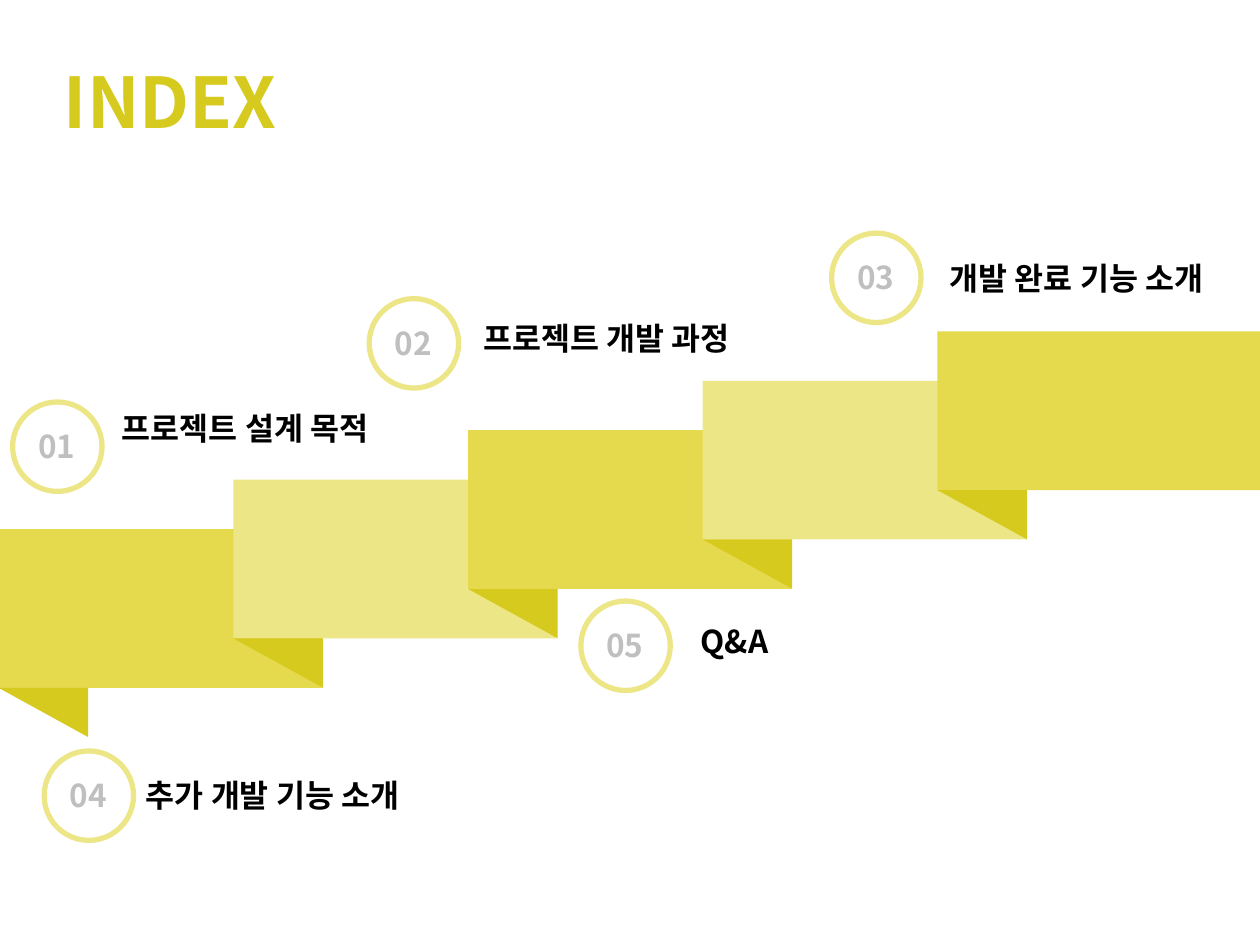
from pptx import Presentation
from pptx.dml.color import RGBColor
from pptx.enum.shapes import MSO_SHAPE
from pptx.enum.text import MSO_ANCHOR, PP_ALIGN
from pptx.oxml.ns import qn
from pptx.util import Inches, Pt
from lxml import etree

RECT, OVAL, FOLD = MSO_SHAPE.RECTANGLE, MSO_SHAPE.OVAL, MSO_SHAPE.RIGHT_TRIANGLE
LEFT, CENTER = PP_ALIGN.LEFT, PP_ALIGN.CENTER
MIDDLE = MSO_ANCHOR.MIDDLE

DARK = RGBColor(0xD7, 0xCA, 0x1F)
MID = RGBColor(0xE5, 0xDA, 0x4D)
PALE = RGBColor(0xED, 0xE6, 0x87)
GRAY = RGBColor(0xBF, 0xBF, 0xBF)
BLACK = RGBColor(0, 0, 0)
WHITE = RGBColor(0xFF, 0xFF, 0xFF)
NOTO = "Noto Sans CJK KR"

deck = Presentation()
deck.slide_width, deck.slide_height = Inches(10), Inches(7.5)
slide = deck.slides.add_slide(deck.slide_layouts[6])


def add_text(text, x, y, w, h, size=18, font=NOTO, color=BLACK, align=LEFT, wrap=True):
    box = slide.shapes.add_textbox(Inches(x), Inches(y), Inches(w), Inches(h))
    frame = box.text_frame
    frame.word_wrap = wrap
    frame.vertical_anchor = MIDDLE
    par = frame.paragraphs[0]
    par.alignment = align
    run = par.add_run()
    run.text = text
    run.font.size, run.font.bold, run.font.name = Pt(size), True, font
    run.font.color.rgb = color
    # Hangul takes the East Asian font
    etree.SubElement(run.font._element, qn("a:ea")).set("typeface", NOTO)


def add_part(kind, x, y, w, h, fill, line=None):
    part = slide.shapes.add_shape(kind, Inches(x), Inches(y), Inches(w), Inches(h))
    part.shadow.inherit = False
    part.fill.solid()
    part.fill.fore_color.rgb = fill
    if line is None:
        part.line.fill.background()
    else:
        part.line.color.rgb = line
        part.line.width = Pt(3)
    return part


# Title
add_text("INDEX", 0.41, 0.44, 5.06, 0.71, size=40, color=DARK)

# Rising ribbon: five panels, each with a fold below its left end
COUNT = 5
HIGH = 1.26
step = 7.45 / (COUNT - 1)
rise = 1.57 / (COUNT - 1)
for i in range(COUNT):
    x, y = -0.01 + i * step, 4.2 - i * rise
    add_part(RECT, x, y, 2.57, HIGH, PALE if i % 2 else MID)
    add_part(FOLD, x, y + HIGH, 0.71, 0.39, DARK).rotation = 180

# Numbered items: circle place, label, label box, font, alignment
items = [
    (0.1, 3.19, "프로젝트 설계 목적", 0.87, 3.2, 2.4, "Arial", LEFT),
    (2.93, 2.37, "프로젝트 개발 과정", 3.74, 2.48, 2.4, NOTO, LEFT),
    (6.6, 1.85, "개발 완료 기능 소개", 7.44, 2.01, 2.49, "Arial", LEFT),
    (0.35, 5.96, "추가 개발 기능 소개", 1.06, 6.11, 3.34, NOTO, LEFT),
    (4.61, 4.77, "Q&A", 5.42, 4.89, 0.82, NOTO, CENTER),
]
for num, (x, y, label, left, top, wide, font, align) in enumerate(items, 1):
    add_part(OVAL, x, y, 0.71, 0.71, WHITE, line=PALE)
    add_text(f"{num:02}", x + 0.1, y + 0.15, 0.5, 0.4, color=GRAY, align=CENTER, wrap=False)
    add_text(label, left, top, wide, 0.4, font=font, align=align)

deck.save("out.pptx")
